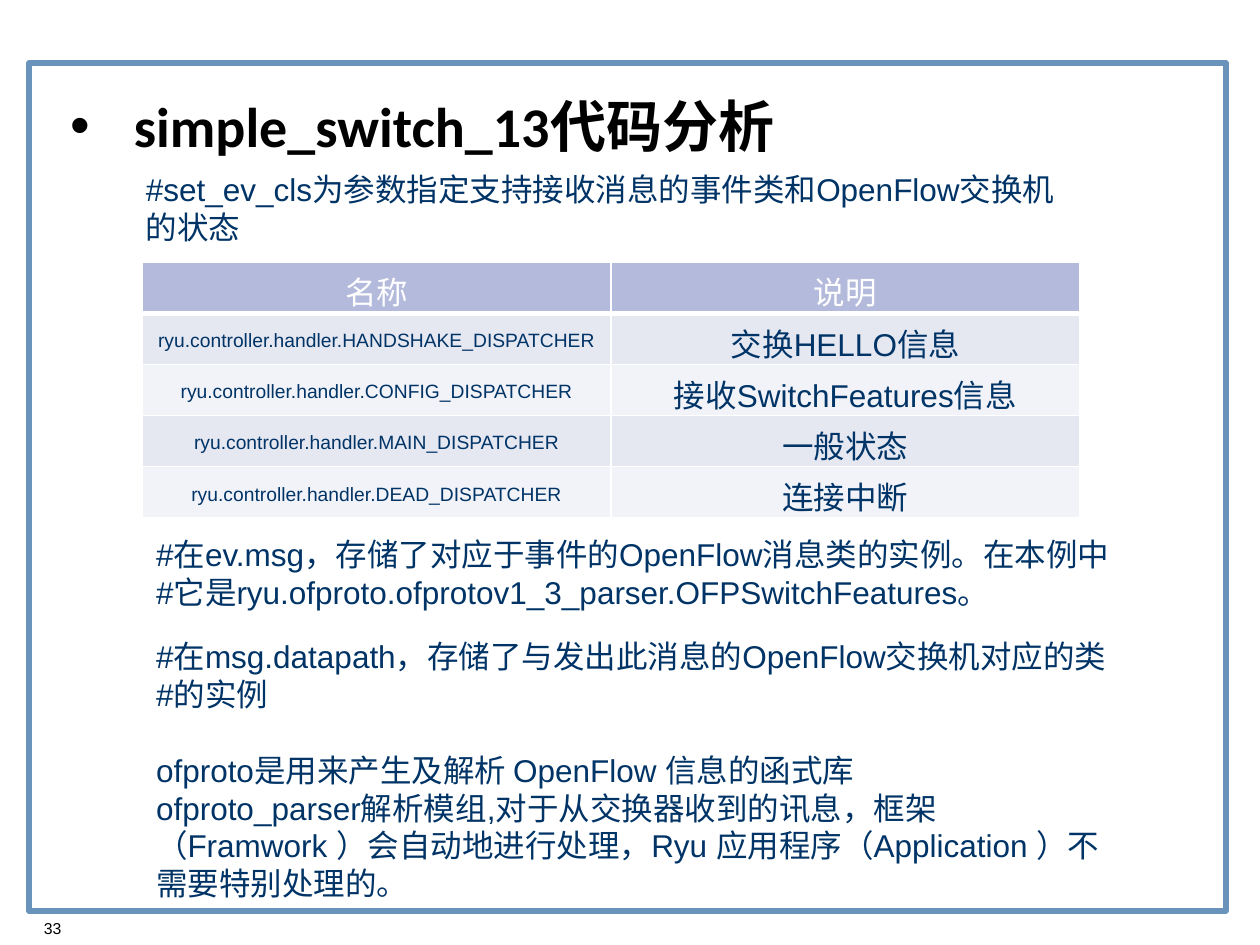
from lxml import etree
from pptx import Presentation
from pptx.dml.color import RGBColor
from pptx.enum import shapes, text
from pptx.oxml import ns
from pptx.util import Inches, Pt

COLORS = {"frame": "6A93BC", "ink": "003366", "black": "000000", "white": "FFFFFF",
          "header": "B3BADB", "odd": "E5E7F1", "even": "F2F3F8"}

TITLE = "simple_switch_13代码分析"
PAGE_NUMBER = "33"
# (left, top, width, height), paragraphs as (text, space before in points)
NOTES = [
    ((1.06, 1.3, 7.58, 0.71),
     [("#set_ev_cls为参数指定支持接收消息的事件类和OpenFlow交换机的状态", 0)]),
    ((1.14, 4.2, 8.16, 0.71),
     [("#在ev.msg，存储了对应于事件的OpenFlow消息类的实例。在本例中", 0),
      ("#它是ryu.ofproto.ofprotov1_3_parser.OFPSwitchFeatures。", 0)]),
    ((1.14, 5.01, 7.84, 1.92),
     [("#在msg.datapath，存储了与发出此消息的OpenFlow交换机对应的类#的实例", 0),
      ("ofproto是用来产生及解析 OpenFlow 信息的函式库", 21.6),
      ("ofproto_parser解析模组,对于从交换器收到的讯息，框架（Framwork ）会自动地进行处理，"
       "Ryu 应用程序（Application ）不需要特别处理的。", 0)]),
]
HEADER = ("名称", "说明")
STATES = [
    ("HANDSHAKE", "交换HELLO信息"),
    ("CONFIG", "接收SwitchFeatures信息"),
    ("MAIN", "一般状态"),
    ("DEAD", "连接中断"),
]
TABLE_LEFT, TABLE_TOP, COLUMN_WIDTH, ROW_HEIGHT = 1.13, 2.08, 3.72, 0.406


def color(name):
    return RGBColor.from_string(COLORS[name])


def add_run(paragraph, words, size, ink, font="Arial", bold=False):
    run = paragraph.add_run()
    run.text = words
    run.font.size = Pt(size)
    run.font.name = font
    run.font.bold = bold
    run.font.color.rgb = color(ink)


def add_box(slide, place, anchor=text.MSO_ANCHOR.TOP):
    frame = slide.shapes.add_textbox(*map(Inches, place)).text_frame
    frame.word_wrap = True
    frame.vertical_anchor = anchor
    return frame


def add_bullet(paragraph, indent):
    properties = paragraph._p.get_or_add_pPr()
    properties.set("marL", str(Inches(indent)))
    properties.set("indent", str(-Inches(indent)))
    font = etree.SubElement(properties, ns.qn("a:buFont"))
    font.set("typeface", "Arial")
    etree.SubElement(properties, ns.qn("a:buChar")).set("char", "•")


def set_borders(cell, widths):
    """Draw white borders; widths maps a side (L, R, T, B) to points."""
    properties = cell._tc.get_or_add_tcPr()
    for position, (side, width) in enumerate(widths.items()):
        line = etree.Element(ns.qn(f"a:ln{side}"), w=str(Pt(width)))
        fill = etree.SubElement(line, ns.qn("a:solidFill"))
        etree.SubElement(fill, ns.qn("a:srgbClr")).set("val", COLORS["white"])
        properties.insert(position, line)


def fill_cell(cell, words, size, ink, fill, spacing, bottom):
    cell.fill.solid()
    cell.fill.fore_color.rgb = color(fill)
    set_borders(cell, {"L": 1, "R": 1, "T": 1, "B": bottom})
    paragraph = cell.text_frame.paragraphs[0]
    paragraph.alignment = text.PP_ALIGN.CENTER
    if spacing:
        paragraph.line_spacing = spacing
    add_run(paragraph, words, size, ink)


def add_state_table(slide):
    count = len(STATES) + 1
    table = slide.shapes.add_table(
        count, 2, Inches(TABLE_LEFT), Inches(TABLE_TOP),
        Inches(2 * COLUMN_WIDTH), Inches(count * ROW_HEIGHT)).table
    for column, words in enumerate(HEADER):
        fill_cell(table.cell(0, column), words, 18, "white", "header", None, 3)
    for row, (state, meaning) in enumerate(STATES, 1):
        fill = "odd" if row % 2 else "even"
        name = f"ryu.controller.handler.{state}_DISPATCHER"
        fill_cell(table.cell(row, 0), name, 11, "ink", fill, 1.5, 1)
        fill_cell(table.cell(row, 1), meaning, 18, "ink", fill, None, 1)


def main():
    presentation = Presentation()
    presentation.slide_width, presentation.slide_height = Inches(10), Inches(7.5)
    slide = presentation.slides.add_slide(presentation.slide_layouts[6])

    border = slide.shapes.add_shape(shapes.MSO_SHAPE.RECTANGLE,
                                    *map(Inches, (0.23, 0.5, 9.5, 6.73)))
    border.shadow.inherit = False
    border.fill.background()
    border.line.color.rgb = color("frame")
    border.line.width = Pt(3)

    title = add_box(slide, (-0.2, 0.68, 7.11, 0.62)).paragraphs[0]
    title.alignment = text.PP_ALIGN.CENTER
    add_bullet(title, 0.5)
    add_run(title, TITLE, 32, "black", "Calibri", True)

    for place, lines in NOTES:
        frame = add_box(slide, place)
        for index, (words, gap) in enumerate(lines):
            paragraph = frame.add_paragraph() if index else frame.paragraphs[0]
            paragraph.space_before = Pt(gap)
            add_run(paragraph, words, 18, "ink")

    add_state_table(slide)

    number = add_box(slide, (0.25, 7.23, 2.33, 0.27), text.MSO_ANCHOR.MIDDLE)
    add_run(number.paragraphs[0], PAGE_NUMBER, 9, "black")
    presentation.save("out.pptx")


if __name__ == "__main__":
    main()
